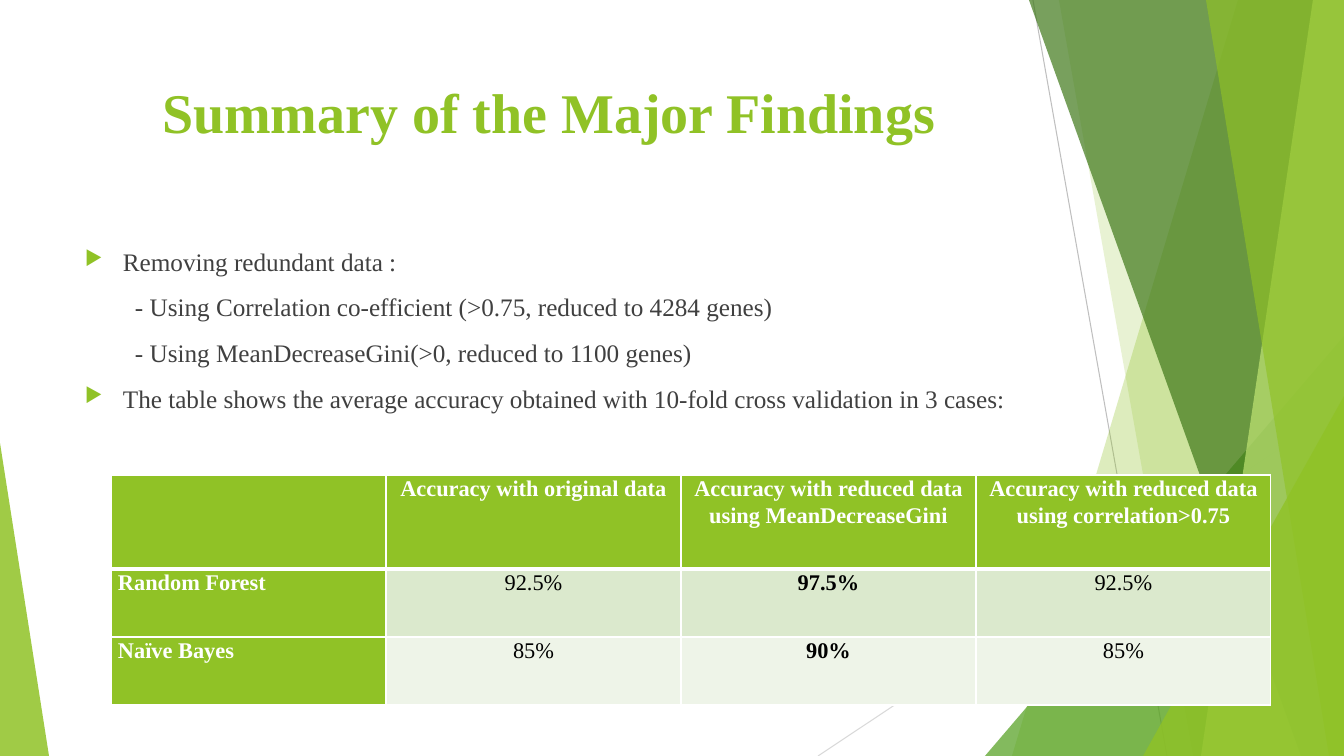
from pptx import Presentation
from pptx.dml.color import RGBColor
from pptx.enum.shapes import MSO_CONNECTOR, MSO_SHAPE
from pptx.enum.text import MSO_ANCHOR, PP_ALIGN
from pptx.oxml.ns import qn
from pptx.util import Pt
from lxml.etree import SubElement

SCALE = 9144000 / 1008
WIDTH, HEIGHT = 1344, 756
FONT = "Times New Roman"
COLORS = {
    "lime": "90C226", "green": "54A021", "forest": "3F7819", "pale": "C0E474",
    "gray": "BFBFBF", "silver": "D9D9D9", "text": "404040",
    "white": "FFFFFF", "black": "000000", "band_dark": "DBE9CD", "band_light": "EEF4E8",
}
LINES = [((1033, 0), (1167, 756), "gray"), ((1344, 406), (818, 756), "silver")]
FACETS = [
    ([(1238, 0), (1344, 0), (1344, 756), (1012, 756)], "lime", 30),
    ([(1059, 0), (1344, 0), (1344, 756), (1193, 756)], "lime", 20),
    ((985, 336, 359, 420, 1), "green", 72),
    ([(1029, 0), (1344, 0), (1344, 756), (1301, 756)], "forest", 70),
    ([(1313, 0), (1344, 0), (1344, 756), (1201, 756)], "pale", 70),
    ([(1206, 0), (1344, 0), (1344, 756), (1329, 756)], "lime", 65),
    ((1143, 396, 201, 360, 1), "lime", 80),
    ((0, 443, 49, 313, 0), "lime", 85),
]
TITLE = "Summary of the Major Findings"
BODY = [
    ("Removing redundant data :", True),
    ("- Using Correlation co-efficient (>0.75, reduced to 4284 genes)", False),
    ("- Using MeanDecreaseGini(>0, reduced to 1100 genes)", False),
    ("The table shows the average accuracy obtained with 10-fold cross validation in 3 cases:", True),
]
TABLE = [
    ["", "Accuracy with original data", "Accuracy with reduced data using MeanDecreaseGini",
     "Accuracy with reduced data using correlation>0.75"],
    ["Random Forest", "92.5%", "97.5%", "92.5%"],
    ["Naïve Bayes", "85%", "90%", "85%"],
]
COLUMN_WIDTHS = [275, 295, 295, 295]
ROW_HEIGHTS = [94, 68, 68]
BANDS = ["lime", "band_dark", "band_light"]
BEST_COLUMN = 2


def px(value):
    return round(value * SCALE)


def rgb(name):
    return RGBColor.from_string(COLORS[name])


def style(para, size, color, bold=False):
    for span in para.runs:
        span.font.name = FONT
        span.font.size = Pt(size)
        span.font.bold = bold
        span.font.color.rgb = rgb(color)


def add_line(page, start, end, color):
    line = page.shapes.add_connector(MSO_CONNECTOR.STRAIGHT, *map(px, start + end))
    line.line.color.rgb = rgb(color)
    line.line.width = Pt(0.75)
    SubElement(line._element.spPr, qn("a:effectLst"))


def add_facet(page, outline, color, opacity):
    if isinstance(outline, list):
        builder = page.shapes.build_freeform(*outline[0], scale=SCALE)
        builder.add_line_segments(outline[1:], close=True)
        facet = builder.convert_to_shape()
    else:
        *frame, apex = outline
        facet = page.shapes.add_shape(MSO_SHAPE.ISOSCELES_TRIANGLE, *map(px, frame))
        facet.adjustments[0] = apex
    facet.shadow.inherit = False
    facet.line.fill.background()
    facet.fill.solid()
    facet.fill.fore_color.rgb = rgb(color)
    tint = facet._element.spPr.find(qn("a:solidFill"))[0]
    SubElement(tint, qn("a:alpha"), val=str(opacity * 1000))


def add_text_frame(page, left, top, width, height):
    box = page.shapes.add_textbox(*map(px, (left, top, width, height)))
    box.text_frame.word_wrap = True
    return box.text_frame


def indent(para, bulleted):
    props = para._p.get_or_add_pPr()
    props.set("marL", str(px(38 if bulleted else 50)))
    props.set("indent", str(px(-38 if bulleted else 0)))
    if bulleted:
        SubElement(SubElement(props, qn("a:buClr")), qn("a:srgbClr"), val=COLORS["lime"])
        SubElement(props, qn("a:buSzPct"), val="80000")
        SubElement(props, qn("a:buChar"), char="▶")


def add_borders(cell, bottom):
    props = cell._tc.get_or_add_tcPr()
    for position, (side, width) in enumerate([("L", 1), ("R", 1), ("T", 1), ("B", bottom)]):
        border = props.makeelement(qn(f"a:ln{side}"), {"w": str(Pt(width))})
        fill = SubElement(border, qn("a:solidFill"))
        SubElement(fill, qn("a:srgbClr"), val=COLORS["white"])
        props.insert(position, border)


def fill_cell(cell, text, row, column):
    heading = row == 0 or column == 0
    cell.fill.solid()
    cell.fill.fore_color.rgb = rgb("lime" if heading else BANDS[row])
    cell.margin_left = cell.margin_right = px(7)
    cell.margin_top = cell.margin_bottom = 0
    cell.vertical_anchor = MSO_ANCHOR.TOP
    cell.text = text
    para = cell.text_frame.paragraphs[0]
    para.alignment = PP_ALIGN.CENTER if column else PP_ALIGN.JUSTIFY
    para.line_spacing = 1.07
    para.space_after = Pt(8)
    style(para, 16, "white" if heading else "black", heading or column == BEST_COLUMN)
    add_borders(cell, 1 if row else 3)


def main():
    deck = Presentation()
    deck.slide_width, deck.slide_height = px(WIDTH), px(HEIGHT)
    page = deck.slides.add_slide(deck.slide_layouts[6])
    for line in LINES:
        add_line(page, *line)
    for facet in FACETS:
        add_facet(page, *facet)

    title = add_text_frame(page, 75, 73, 947, 140)
    title.text = TITLE
    title.paragraphs[0].alignment = PP_ALIGN.CENTER
    style(title.paragraphs[0], 40, "lime", True)

    body = add_text_frame(page, 75, 241, 947, 424)
    body.text = "\n".join(text for text, _ in BODY)
    for para, (_, bulleted) in zip(body.paragraphs, BODY):
        para.space_before = Pt(11)
        indent(para, bulleted)
        style(para, 18, "text")

    frame = (111, 475, sum(COLUMN_WIDTHS), sum(ROW_HEIGHTS))
    table = page.shapes.add_table(len(TABLE), len(TABLE[0]), *map(px, frame)).table
    for column, width in zip(table.columns, COLUMN_WIDTHS):
        column.width = px(width)
    for row, height in zip(table.rows, ROW_HEIGHTS):
        row.height = px(height)
    for row, texts in enumerate(TABLE):
        for column, text in enumerate(texts):
            fill_cell(table.cell(row, column), text, row, column)
    deck.save("out.pptx")


if __name__ == "__main__":
    main()
